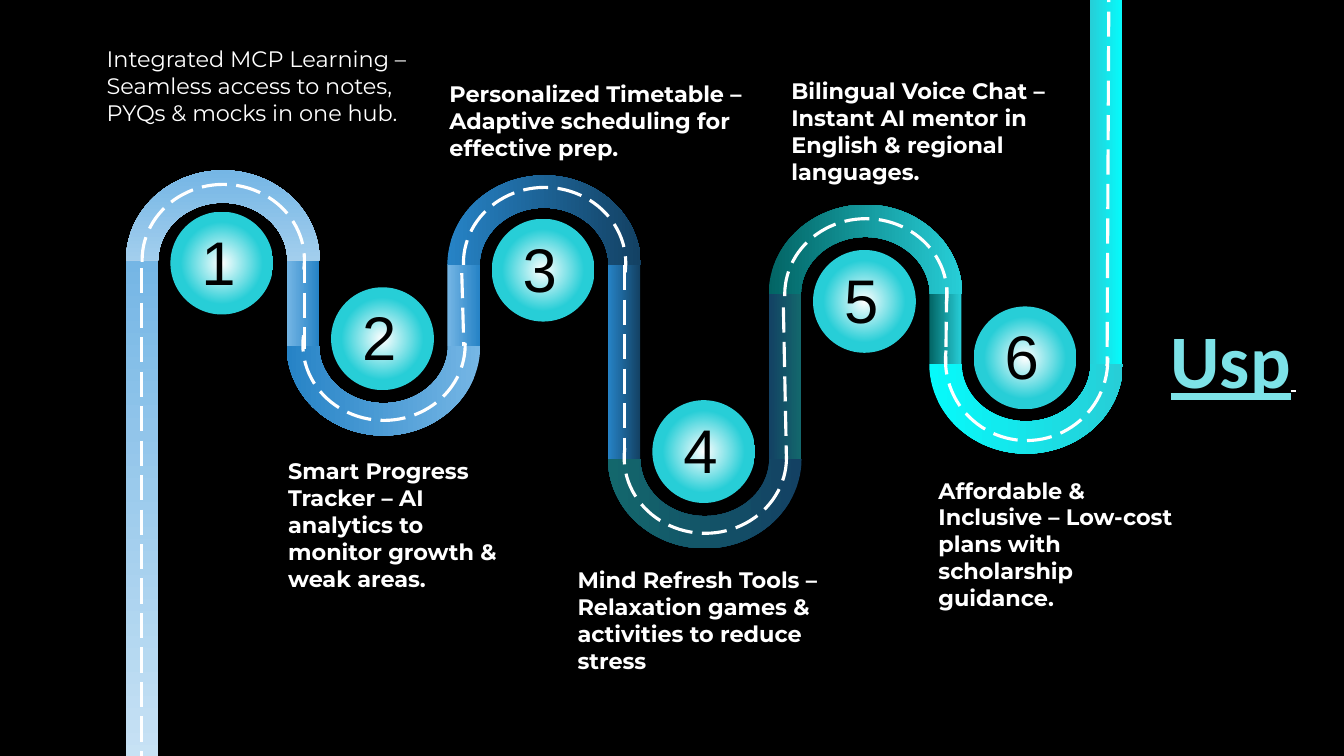
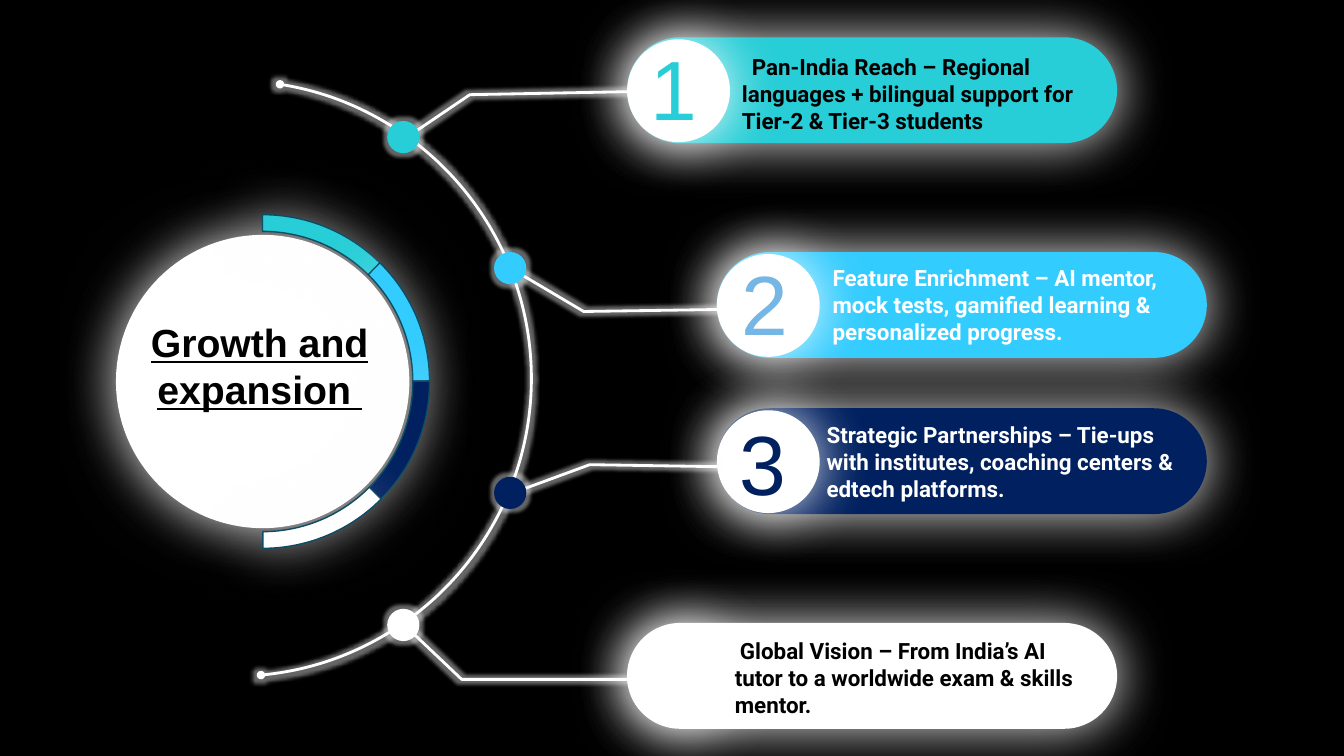
from lxml.etree import SubElement
from pptx import Presentation
from pptx.dml.color import RGBColor
from pptx.enum.dml import MSO_LINE
from pptx.enum.shapes import MSO_CONNECTOR, MSO_SHAPE
from pptx.enum.text import MSO_ANCHOR, MSO_AUTO_SIZE, PP_ALIGN
from pptx.oxml.ns import qn
from pptx.util import Inches, Pt

COLORS = {
    "black": "000000", "white": "FFFFFF", "turquoise": "27CED7", "aqua": "06FAFB",
    "pale": "D1E7F6", "sky": "75B6E5", "blue": "2683C6", "navy": "134163",
    "pine": "13676C", "teal": "026464", "cyan": "33CCFF", "midnight": "002060",
    "edge": "0C4C64", "usp": "7DE2E7",
}


def rgb(name):
    return RGBColor.from_string(COLORS[name])


class Deck:
    """Holds the shared style and the slide being built."""

    def __init__(self):
        self.prs = Presentation()
        self.prs.slide_width, self.prs.slide_height = Inches(13.33), Inches(7.5)
        self.slide = None

    def new_slide(self):
        self.slide = self.prs.slides.add_slide(self.prs.slide_layouts[5])
        background = self.slide.background.fill
        background.solid()
        background.fore_color.rgb = rgb("black")

    def shape(self, kind, at, fill=None, line=None, width=1, rotation=0, adj=()):
        shape = self.slide.shapes.add_shape(kind, *map(Inches, at))
        shape.rotation = rotation
        for index, value in enumerate(adj):
            shape.adjustments[index] = value
        self.paint(shape, fill, line, width)
        return shape

    def paint(self, shape, fill, line=None, width=1):
        shape.shadow.inherit = False
        if fill:
            shape.fill.solid()
            shape.fill.fore_color.rgb = rgb(fill)
        else:
            shape.fill.background()
        if line:
            shape.line.color.rgb = rgb(line)
            shape.line.width = Pt(width)
        else:
            shape.line.fill.background()

    def gradient(self, shape, start, end, angle=0, end_at=1, radial=False):
        """Angle runs clockwise; a radial gradient starts at the centre."""
        fill = shape.fill
        fill.gradient()
        for stop, color, place in zip(fill.gradient_stops, (start, end), (0, end_at)):
            stop.color.rgb = rgb(color)
            stop.position = place
        if not radial:
            fill.gradient_angle = (360 - angle) % 360
            return
        grad = shape._element.spPr.find(qn("a:gradFill"))
        grad.remove(grad.find(qn("a:lin")))
        centre = SubElement(grad, qn("a:path"), {"path": "circle"})
        SubElement(centre, qn("a:fillToRect"), dict.fromkeys("ltrb", "50000"))

    def effect(self, shape, tag, alpha, **attributes):
        effects = shape._element.spPr.find(qn("a:effectLst"))
        effect = SubElement(effects, qn(tag), {k: str(v) for k, v in attributes.items()})
        color = SubElement(effect, qn("a:srgbClr"), {"val": COLORS["white"]})
        SubElement(color, qn("a:alpha"), {"val": str(alpha * 1000)})

    def halo(self, shape, alpha=91, distance=0, direction=135):
        self.effect(shape, "a:outerShdw", alpha, blurRad=Pt(40), dist=Pt(distance),
                    dir=direction * 60000, algn="ctr", rotWithShape=0)

    def glow(self, shape):
        self.effect(shape, "a:glow", 40, rad=Pt(5))

    def dashes(self, line):
        line.color.rgb = rgb("white")
        line.width = Pt(2.25)
        line.dash_style = MSO_LINE.LONG_DASH

    def dashed_line(self, *ends):
        lane = self.slide.shapes.add_connector(MSO_CONNECTOR.STRAIGHT, *map(Inches, ends))
        self.dashes(lane.line)
        SubElement(lane._element.spPr, qn("a:effectLst"))

    def polyline(self, points):
        corners = [(Inches(x), Inches(y)) for x, y in points]
        builder = self.slide.shapes.build_freeform(*corners[0])
        builder.add_line_segments(corners[1:], close=False)
        link = builder.convert_to_shape()
        self.paint(link, None, "white", 2)
        return link

    def fill_text(self, frame, runs, align=PP_ALIGN.LEFT, anchor=MSO_ANCHOR.TOP, indent=0):
        """Each run is (text, font, size, color, bold, underline)."""
        frame.word_wrap = True
        frame.auto_size = MSO_AUTO_SIZE.NONE
        frame.vertical_anchor = anchor
        paragraph = frame.paragraphs[0]
        paragraph.alignment = align
        if indent:
            paragraph._p.get_or_add_pPr().set("indent", str(Inches(indent)))
        for text, font, size, color, bold, underline in runs:
            run = paragraph.add_run()
            run.text = text
            run.font.name, run.font.size = font, Pt(size)
            run.font.bold, run.font.underline = bold, underline
            run.font.color.rgb = rgb(color)

    def text(self, at, text, font, size, color, bold=False, indent=0):
        box = self.slide.shapes.add_textbox(*map(Inches, at))
        self.fill_text(box.text_frame, [(text, font, size, color, bold, False)], indent=indent)

    def title(self, at, runs, anchor):
        title = self.slide.shapes.title
        title.left, title.top, title.width, title.height = map(Inches, at)
        self.fill_text(title.text_frame, runs, PP_ALIGN.CENTER, anchor)
        # Bring the title in front of the drawing
        self.slide.shapes._spTree.append(title._element)


def usp_road(deck):
    deck.new_slide()
    first_lane, last_lane, road_width = 1.25, 10.81, 0.32
    lanes = [first_lane + i * (last_lane - first_lane) / 6 for i in range(7)]
    surfaces = [("pale", "sky", 270), ("sky", "blue", 0), ("blue", "navy", 0),
                ("navy", "pine", 0), ("teal", "turquoise", 0), ("aqua", "turquoise", 180)]

    # Straight stretches: top, height, surface
    stretches = [(2.58, 5.53, 0), (2.56, 0.87, 1), (2.62, 0.81, 1), (2.62, 2.01, 2),
                 (2.91, 1.64, 3), (2.92, 0.69, 4), (-0.96, 4.58, 5)]
    for lane, (top, height, surface) in zip(lanes, stretches):
        road = deck.shape(MSO_SHAPE.RECTANGLE, (lane, top, road_width, height))
        deck.gradient(road, *surfaces[surface])

    # Bends, every second one turned over, with their centre line
    bend_tops = [1.69, 2.54, 1.74, 3.66, 2.03, 2.72]
    centre_arcs = [(1.83, 1.5), (2.67, 1.5), (1.86, 1.5), (3.79, 1.5), (2.17, 1.5), (2.77, 1.6)]
    for i, (top, (arc_top, arc_height)) in enumerate(zip(bend_tops, centre_arcs)):
        turn = 180 * (i % 2)
        bend = deck.shape(MSO_SHAPE.BLOCK_ARC, (lanes[i], top, 1.92, 1.78),
                          rotation=turn, adj=(108, 215.99, 0.18))
        deck.gradient(bend, *surfaces[i])
        centre = deck.shape(MSO_SHAPE.ARC, (lanes[i] + 0.16, arc_top, 1.61, arc_height),
                            rotation=turn, adj=(107.2, 4))
        deck.dashes(centre.line)

    # Centre lines of the straight stretches
    for ends in [(1.4, 2.66, 1.4, 8.39), (3.02, 2.56, 3.02, 3.46), (4.58, 2.71, 4.6, 3.43),
                 (6.19, 2.63, 6.19, 4.63), (7.77, 3.05, 7.8, 4.56), (9.39, 2.85, 9.38, 3.62),
                 (11, -0.57, 10.98, 3.63)]:
        deck.dashed_line(*ends)

    # Numbered stops
    for i, top in enumerate([2.1, 2.85, 2.17, 3.97, 2.48, 3.04]):
        left = lanes[i] + 0.44
        stop = deck.shape(MSO_SHAPE.FLOWCHART_CONNECTOR, (left, top, 1.02, 1.02))
        deck.gradient(stop, "white", "turquoise", end_at=0.57, radial=True)
        deck.text((left + 0.21, top + 0.07, 1.37, 0.84), str(i + 1), "Arial", 44, "black")

    # Selling points
    points = [
        ((0.96, 0.4, 3.22, 1.18), False,
         "Integrated MCP Learning – Seamless access to notes, PYQs & mocks in one hub."),
        ((2.76, 4.49, 2.32, 1.45), True,
         "Smart Progress Tracker – AI analytics to monitor growth & weak areas."),
        ((4.36, 0.75, 3.1, 0.91), True,
         "Personalized Timetable – Adaptive scheduling for effective prep."),
        ((5.63, 5.57, 3.04, 1.18), True,
         "Mind Refresh Tools – Relaxation games & activities to reduce stress"),
        ((7.75, 0.72, 3.01, 1.48), True,
         "Bilingual Voice Chat – Instant AI mentor in English & regional languages."),
        ((9.21, 4.68, 2.54, 1.75), True,
         "Affordable & Inclusive – Low-cost plans with scholarship guidance."),
    ]
    for at, bold, point in points:
        deck.text(at, point, "Montserrat", 16, "white", bold)

    deck.title((11.37, 3.05, 1.73, 1.01),
               [("Usp", "Calibri", 54, "usp", True, True),
                (" ", "Calibri", 18, "white", True, True)], MSO_ANCHOR.MIDDLE)


def growth(deck):
    deck.new_slide()
    themes = ["turquoise", "cyan", "midnight", "white"]

    # Hub with its ring of four segments
    hub = deck.shape(MSO_SHAPE.OVAL, (1.15, 2.33, 2.91, 2.91), "white")
    deck.halo(hub)
    for theme, turn in zip(themes, (29.5, 74.2, 119.4, 164.3)):
        segment = deck.shape(MSO_SHAPE.BLOCK_ARC, (0.95, 2.13, 3.31, 3.31), theme, "edge",
                             rotation=turn, adj=(144.27, 171.37, 0.05))
        deck.halo(segment, 55, 3, 180)

    # Pills with a disc at the left end
    pills = [(6.22, 0.37), (7.11, 2.5), (7.11, 4.05), (6.22, 6.18)]
    for theme, (left, top) in zip(themes, pills):
        pill = deck.shape(MSO_SHAPE.ROUNDED_RECTANGLE, (left, top, 4.86, 1.05), theme, adj=(0.5,))
        deck.halo(pill)
    for left, top in pills:
        disc = deck.shape(MSO_SHAPE.OVAL, (left, top + 0.02, 1.02, 1.02), "white")
        deck.halo(disc)

    # Orbit
    orbit = deck.shape(MSO_SHAPE.ARC, (-0.64, 0.8, 5.91, 5.91), None, "white", 2,
                       rotation=90, adj=(113.39, 212.82))
    for end in ("a:headEnd", "a:tailEnd"):
        SubElement(orbit.line._get_or_add_ln(), qn(end), {"type": "oval"})
    deck.glow(orbit)

    # Links from the pills to the dots on the orbit
    links = [[(6.23, 0.91), (4.66, 0.94), (4.01, 1.38)],
             [(7.14, 3.07), (5.79, 3.09), (5.08, 2.67)],
             [(7.11, 4.63), (5.85, 4.61), (5.06, 4.9)],
             [(6.24, 6.74), (4.58, 6.74), (4, 6.19)]]
    dots = [(3.84, 1.2), (4.9, 2.5), (4.9, 4.73), (3.84, 6.04)]
    for theme, link, dot in zip(themes, links, dots):
        deck.glow(deck.polyline(link))
        deck.glow(deck.shape(MSO_SHAPE.OVAL, (*dot, 0.32, 0.32), theme))

    # Numbers on the discs
    numbers = [(6.35, 0.31, "turquoise"), (7.26, 2.45, "sky"), (7.24, 4.03, "midnight")]
    for number, (left, top, color) in enumerate(numbers, 1):
        deck.text((left, top, 0.76, 1.11), str(number), "Arial", 60, color)

    # Plans: box, colour, first-line indent, text
    plans = [
        ((7.26, 0.48, 3.73, 0.91), "black", 0.1, "Pan-India Reach – Regional languages "
         "+ bilingual support for Tier-2 & Tier-3 students"),
        ((8.16, 2.57, 3.71, 0.91), "white", 0, "Feature Enrichment – AI mentor, "
         "mock tests, gamified learning & personalized progress."),
        ((8.1, 4.13, 3.74, 0.91), "white", 0, "Strategic Partnerships – Tie-ups "
         "with institutes, coaching centers & edtech platforms."),
        ((7.19, 6.27, 3.78, 0.91), "black", 0.05, "Global Vision – From India’s AI tutor "
         "to a worldwide exam & skills mentor."),
    ]
    for at, color, indent, plan in plans:
        deck.text(at, plan, "Roboto", 16, color, True, indent)

    deck.title((1.18, 3.11, 2.79, 1.51),
               [("Growth and expansion ", "Arial", 28, "black", True, True)], MSO_ANCHOR.TOP)


def main():
    deck = Deck()
    usp_road(deck)
    growth(deck)
    deck.prs.save("out.pptx")


if __name__ == "__main__":
    main()
